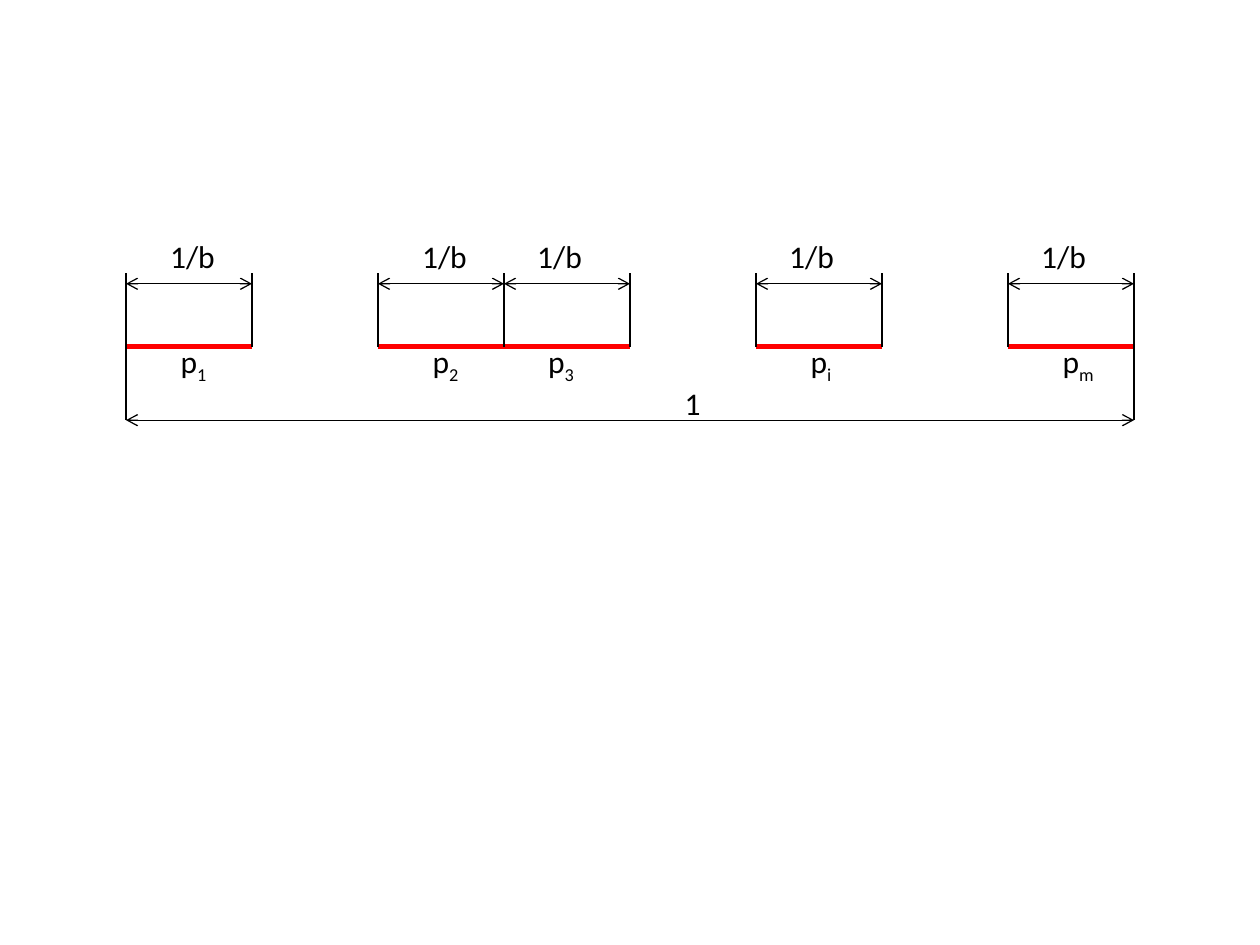
from pptx import Presentation
from pptx.dml.color import RGBColor
from pptx.enum.shapes import MSO_CONNECTOR
from pptx.enum.text import MSO_AUTO_SIZE
from pptx.oxml.ns import qn
from pptx.util import Cm, Pt
from lxml import etree

STRAIGHT = MSO_CONNECTOR.STRAIGHT
FIT_SHAPE = MSO_AUTO_SIZE.SHAPE_TO_FIT_TEXT
BLACK = RGBColor(0x00, 0x00, 0x00)
RED = RGBColor(0xFF, 0x00, 0x00)

UNIT = 2.54  # length of one interval, in cm
TICK_TOP, DIM_Y, AXIS_Y, TOTAL_Y = 5.5, 5.72, 6.99, 8.47
WIDTH_LABEL_Y, POINT_LABEL_Y, TOTAL_LABEL_Y = 4.66, 6.77, 7.62
LABEL_HEIGHT = 1.02

# start in units, left of width label, its width, left of point label, its width, index
INTERVALS = [
    (1, 3.18, 1.48, 3.39, 1.06, "1"),
    (3, 8.26, 1.48, 8.47, 1.06, "2"),
    (4, 10.58, 1.69, 10.8, 1.06, "3"),
    (6, 15.66, 2.12, 16.09, 0.94, "i"),
    (8, 20.74, 1.48, 21.17, 1.19, "m"),
]

prs = Presentation()
prs.slide_width, prs.slide_height = Cm(25.4), Cm(19.05)
s = prs.slides.add_slide(prs.slide_layouts[6])


def add_line(x1, y1, x2, y2, color=BLACK, width=0.75, arrows=False):
    line = s.shapes.add_connector(STRAIGHT, Cm(x1), Cm(y1), Cm(x2), Cm(y2))
    line.line.color.rgb = color
    line.line.width = Pt(width)
    if arrows:
        ln = line.line._get_or_add_ln()
        for end in ("a:headEnd", "a:tailEnd"):
            etree.SubElement(ln, qn(end), type="arrow")
    etree.SubElement(line._element.spPr, qn("a:effectLst"))


def add_text(text, x, y, width, subscript="", wrap=False):
    tb = s.shapes.add_textbox(Cm(x), Cm(y), Cm(width), Cm(LABEL_HEIGHT))
    tf = tb.text_frame
    tf.word_wrap = wrap
    tf.auto_size = FIT_SHAPE
    p = tf.paragraphs[0]
    for part in filter(None, (text, subscript)):
        r = p.add_run()
        r.text = part
        r.font.name = "Calibri"
        r.font.size = Pt(18)
        r.font.color.rgb = BLACK
    if subscript:
        r.font._element.set("baseline", "-25000")


# Intervals on the axis
starts = [interval[0] for interval in INTERVALS]
for start in starts:
    add_line(start * UNIT, AXIS_Y, (start + 1) * UNIT, AXIS_Y, color=RED, width=3)

# Extension lines, then the width of each interval
for tick in range(1, 10):
    add_line(tick * UNIT, AXIS_Y, tick * UNIT, TICK_TOP)
for start in starts:
    add_line(start * UNIT, DIM_Y, (start + 1) * UNIT, DIM_Y, arrows=True)

# Total length
for edge in (1, 9):
    add_line(edge * UNIT, TOTAL_Y, edge * UNIT, AXIS_Y)
add_line(UNIT, TOTAL_Y, 9 * UNIT, TOTAL_Y, arrows=True)
add_text("1", 13.55, TOTAL_LABEL_Y, 0.85)

# Labels of the intervals
for _, width_x, width_w, point_x, point_w, index in INTERVALS:
    add_text("1/b", width_x, WIDTH_LABEL_Y, width_w, wrap=True)
    add_text("p", point_x, POINT_LABEL_Y, point_w, subscript=index)

prs.save("out.pptx")
